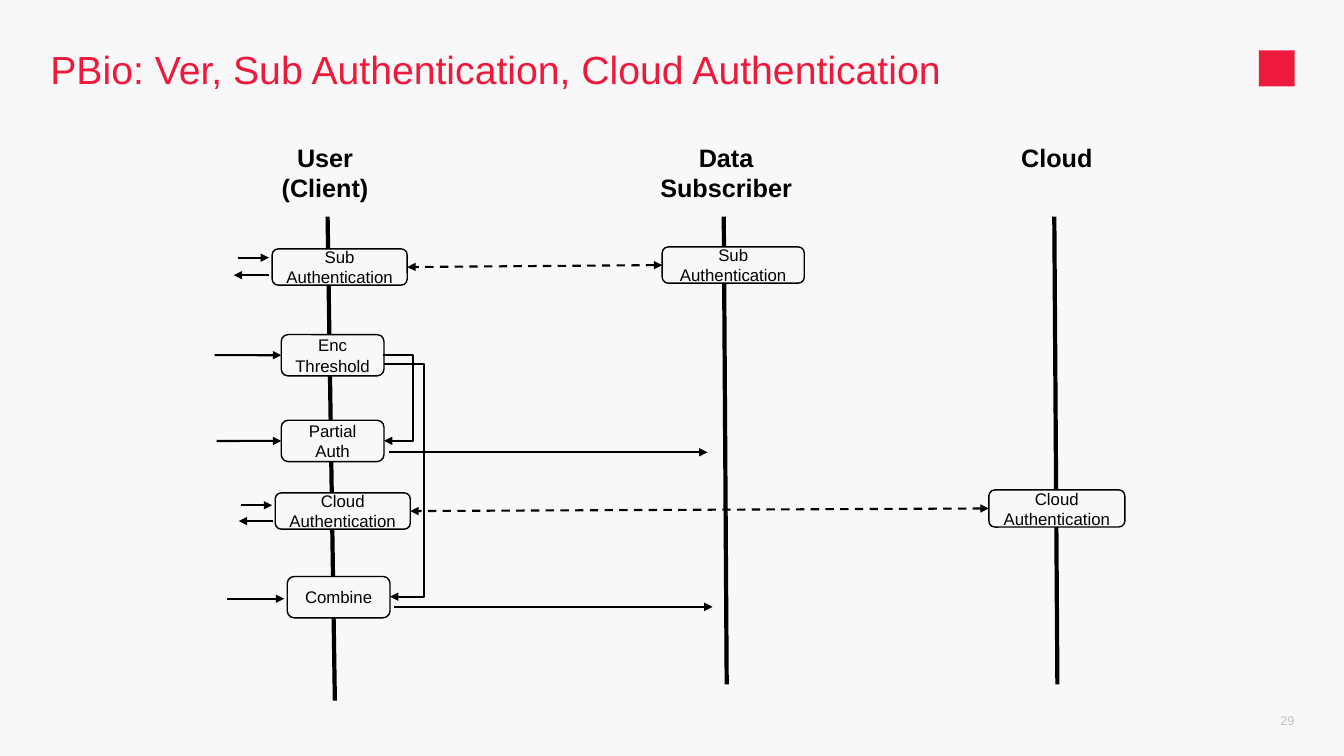
import pptx
import pptx.dml.color
import pptx.enum.dml
import pptx.enum.shapes
import pptx.enum.text
import pptx.oxml.ns
import pptx.util
import lxml.etree

Pt = pptx.util.Pt
qn = pptx.oxml.ns.qn
Shape = pptx.enum.shapes.MSO_SHAPE
Link = pptx.enum.shapes.MSO_CONNECTOR
Align = pptx.enum.text.PP_ALIGN
Anchor = pptx.enum.text.MSO_ANCHOR
LEFT, RIGHT = 1, 3


class Sketch:
    font = "Arial"
    hues = {"paper": "F8F8F8", "ink": "000000", "red": "ED1A3D", "grey": "C0C2C4"}

    def __init__(self, deck):
        self.slide = deck.slides.add_slide(deck.slide_layouts[6])
        self.tint(self.slide.background.fill, "paper")

    def hue(self, name):
        return pptx.dml.color.RGBColor.from_string(self.hues[name])

    def tint(self, fill, name):
        fill.solid()
        fill.fore_color.rgb = self.hue(name)

    def label(self, frame, lines, size, hue="ink", bold=False,
              align=Align.CENTER, anchor=Anchor.TOP):
        frame.word_wrap = True
        frame.vertical_anchor = anchor
        for i, line in enumerate(lines):
            para = frame.paragraphs[0] if i == 0 else frame.add_paragraph()
            para.alignment = align
            run = para.add_run()
            run.text = line
            run.font.name = self.font
            run.font.size = Pt(size)
            run.font.bold = bold
            run.font.color.rgb = self.hue(hue)
        return frame

    def text(self, x, y, w, h, lines, size, **look):
        area = self.slide.shapes.add_textbox(Pt(x), Pt(y), Pt(w), Pt(h))
        return self.label(area.text_frame, lines, size, **look)

    def shape(self, kind, x, y, w, h, fill):
        item = self.slide.shapes.add_shape(kind, Pt(x), Pt(y), Pt(w), Pt(h))
        item.shadow.inherit = False
        self.tint(item.fill, fill)
        item.line.fill.background()
        return item

    def box(self, x, y, w, h, name):
        item = self.shape(Shape.ROUNDED_RECTANGLE, x, y, w, h, "paper")
        self.tint(item.line.fill, "ink")
        item.line.width = Pt(1)
        self.label(item.text_frame, [name], 12, anchor=Anchor.MIDDLE)
        return item

    def line(self, start, end, width=1.5, heads=("tailEnd",), dash=False,
             kind=Link.STRAIGHT):
        link = self.slide.shapes.add_connector(kind, *map(Pt, start + end))
        link.line.color.rgb = self.hue("ink")
        link.line.width = Pt(width)
        if dash:
            link.line.dash_style = pptx.enum.dml.MSO_LINE.DASH
        props = link._element.spPr
        for head in heads:
            lxml.etree.SubElement(props.find(qn("a:ln")), qn("a:" + head), type="triangle")
        lxml.etree.SubElement(props, qn("a:effectLst"))
        return link

    def elbow(self, start, end, bend):
        link = self.line(start, end, kind=Link.ELBOW)
        ratio = round((bend - start[0]) / (end[0] - start[0]) * 100000)
        guides = link._element.spPr.find(qn("a:prstGeom")).find(qn("a:avLst"))
        lxml.etree.SubElement(guides, qn("a:gd"), name="adj1", fmla=f"val {ratio}")

    def enter(self, x, y, box):
        self.line((x, y), (box.left.pt, y)).end_connect(box, LEFT)

    def swap(self, near, far):
        link = self.line((0, 0), (9, 9), heads=("headEnd", "tailEnd"), dash=True)
        link.begin_connect(far, LEFT)
        link.end_connect(near, RIGHT)


def main():
    deck = pptx.Presentation()
    deck.slide_width, deck.slide_height = Pt(960), Pt(540)
    art = Sketch(deck)

    art.shape(Shape.RECTANGLE, 899.2, 36, 25.5, 25.8, "red")
    title = art.text(36, 36, 742.3, 30.2,
                     ["PBio: Ver, Sub Authentication, Cloud Authentication"],
                     28, hue="red", align=Align.LEFT)
    title.margin_left = title.margin_top = title.margin_right = title.margin_bottom = 0
    title.paragraphs[0].line_spacing = 0.9
    page = art.text(894.2, 500.4, 30.3, 28.8, ["29"], 9, hue="grey",
                    align=Align.RIGHT, anchor=Anchor.MIDDLE)
    page.margin_right = 0

    lanes = [
        (143.3, ["User", "(Client)"], 234, 239.2, 500.4),
        (429.8, ["Data", "Subscriber"], 517, 519.1, 488.9),
        (666, ["Cloud"], 753.1, 755.3, 488.9),
    ]
    for x, name, top, foot, end in lanes:
        art.text(x, 97.9, 177.8, 25.5 * len(name), name, 18, bold=True)
        art.line((top, 154.8), (foot, end), width=3, heads=())

    sub, cloud = "Sub Authentication", "Cloud Authentication"
    far_sub = art.box(473, 176.4, 101.5, 25.9, sub)
    far_cloud = art.box(706.3, 349.9, 97.2, 26.6, cloud)
    near_sub = art.box(194.4, 177.8, 96.5, 25.9, sub)
    near_cloud = art.box(196.6, 352.1, 96.5, 25.9, cloud)
    enc = art.box(200.9, 239, 73.4, 29.5, "Enc Threshold")
    part = art.box(200.9, 300.2, 73.4, 29.5, "Partial Auth")
    art.box(205.2, 411.8, 73.4, 29.5, "Combine")

    art.swap(near_sub, far_sub)
    art.swap(near_cloud, far_cloud)
    art.enter(153.4, 253.7, enc)
    art.enter(154.8, 315, part)
    art.elbow((273.6, 253.4), (274.4, 314.9), 295.2)
    art.elbow((274.3, 259.9), (278.6, 426.2), 302.6)

    arrows = [
        ((169.9, 184.1), (192.2, 184.1)),
        ((192.2, 196.6), (167, 196.6)),
        ((172.1, 360.9), (194.4, 360.9)),
        ((195.1, 372.2), (170.6, 372.2)),
        ((277.9, 323.1), (505.4, 323.1)),
        ((162, 427.7), (203, 427.7)),
        ((281.5, 433.5), (509, 433.5)),
    ]
    for start, end in arrows:
        art.line(start, end)

    deck.save("out.pptx")


if __name__ == "__main__":
    main()
